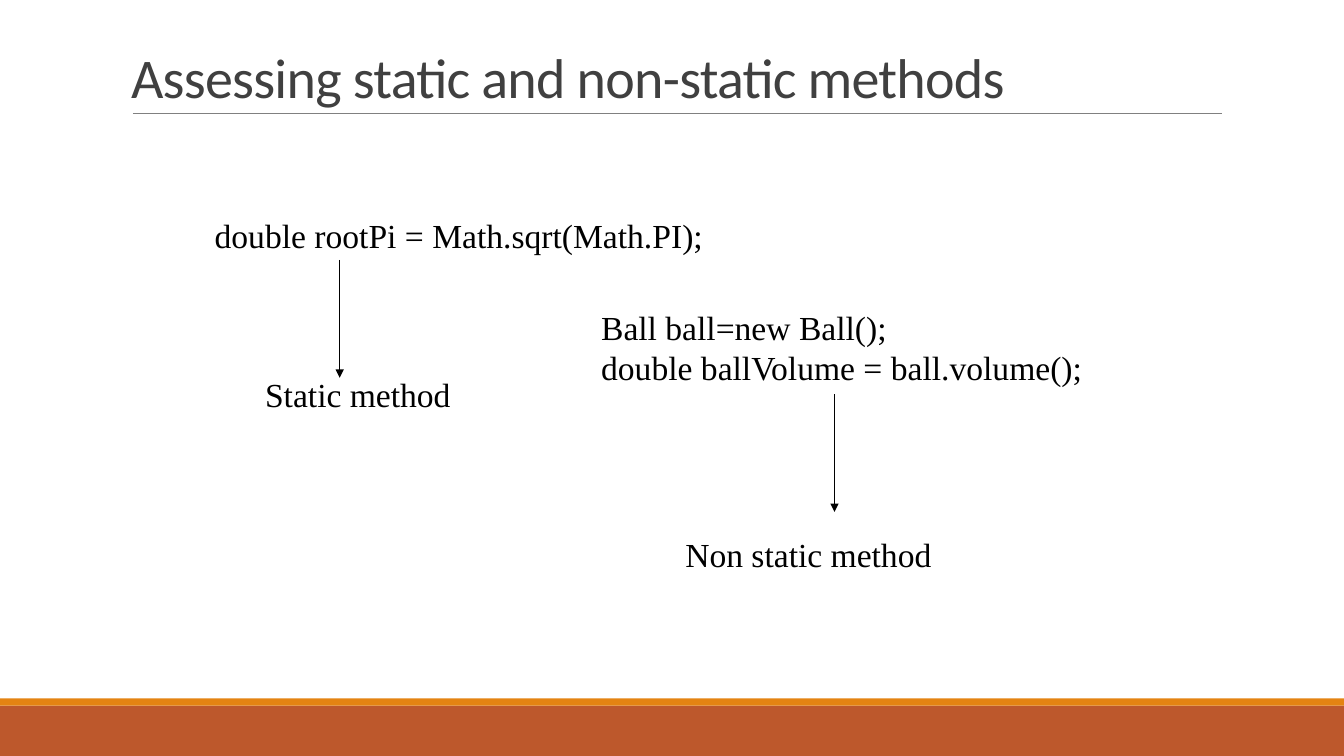
from dataclasses import dataclass
from pptx import Presentation
from pptx.dml.color import RGBColor
from pptx.enum.shapes import MSO_CONNECTOR, MSO_SHAPE
from pptx.enum.text import MSO_ANCHOR, MSO_AUTO_SIZE, PP_ALIGN
from pptx.oxml.ns import qn
from pptx.util import Cm, Pt
from lxml.etree import SubElement


@dataclass(frozen=True)
class Theme:
    rust: str = "BD582C"
    amber: str = "E48312"
    gray: str = "808080"
    dark: str = "404040"
    black: str = "000000"
    head: str = "Calibri"
    body: str = "Times New Roman"
    large: int = 40
    normal: int = 24


THEME = Theme()
WIDTH, HEIGHT = 33.87, 19.05


def style(para, face, size, color):
    para.alignment = PP_ALIGN.LEFT
    para.font.name = face
    para.font.size = Pt(size)
    para.font.color.rgb = RGBColor.from_string(color)


def add_title(slide, text):
    title = slide.shapes.title
    title.left, title.top = Cm(3.05), Cm(0.99)
    title.width, title.height = Cm(27.94), Cm(1.9)
    frame = title.text_frame
    frame.text = text
    frame.auto_size = MSO_AUTO_SIZE.NONE
    frame.vertical_anchor = MSO_ANCHOR.BOTTOM
    para = frame.paragraphs[0]
    para.line_spacing = 0.85
    style(para, THEME.head, THEME.large, THEME.dark)
    para.font._rPr.set("spc", "-50")


def add_band(slide, top, height, color):
    band = slide.shapes.add_shape(
        MSO_SHAPE.RECTANGLE, 0, Cm(top), Cm(WIDTH), Cm(height))
    band.shadow.inherit = False
    band.fill.solid()
    band.fill.fore_color.rgb = RGBColor.from_string(color)
    band.line.fill.background()


def add_text(slide, left, top, width, height, lines):
    box = slide.shapes.add_textbox(Cm(left), Cm(top), Cm(width), Cm(height))
    frame = box.text_frame
    frame.text = "\n".join(lines)
    frame.word_wrap = True
    frame.auto_size = MSO_AUTO_SIZE.SHAPE_TO_FIT_TEXT
    for para in frame.paragraphs:
        style(para, THEME.body, THEME.normal, THEME.black)


def add_line(slide, start, end, color, weight):
    line = slide.shapes.add_connector(
        MSO_CONNECTOR.STRAIGHT, *map(Cm, start + end))
    line.line.color.rgb = RGBColor.from_string(color)
    line.line.width = Pt(weight)
    SubElement(line._element.spPr, qn("a:effectLst"))
    return line


def add_arrow(slide, left, top, length=2.97):
    arrow = add_line(
        slide, (left, top), (left, top + length), THEME.black, 0.75)
    SubElement(arrow.line._get_or_add_ln(), qn("a:tailEnd"), type="triangle")


def main():
    deck = Presentation()
    deck.slide_width, deck.slide_height = Cm(WIDTH), Cm(HEIGHT)
    slide = deck.slides.add_slide(deck.slide_layouts[5])

    add_band(slide, 17.78, 1.27, THEME.rust)
    add_band(slide, 17.6, 0.18, THEME.amber)
    add_line(slide, (3.35, 2.85), (30.8, 2.85), THEME.gray, 0.5)
    add_title(slide, "Assessing static and non-static methods")

    add_text(slide, 5.16, 5.28, 13.2, 1.27,
             ["double rootPi = Math.sqrt(Math.PI);"])
    add_text(slide, 14.9, 7.61, 13.2, 2.31,
             ["Ball ball=new Ball();", "double ballVolume = ball.volume();"])
    add_text(slide, 6.43, 9.3, 7.19, 1.27, ["Static method"])
    add_text(slide, 17.02, 13.34, 9.96, 1.27, ["Non static method"])

    add_arrow(slide, 21.03, 9.93)
    add_arrow(slide, 8.56, 6.55)
    deck.save("out.pptx")


main()
